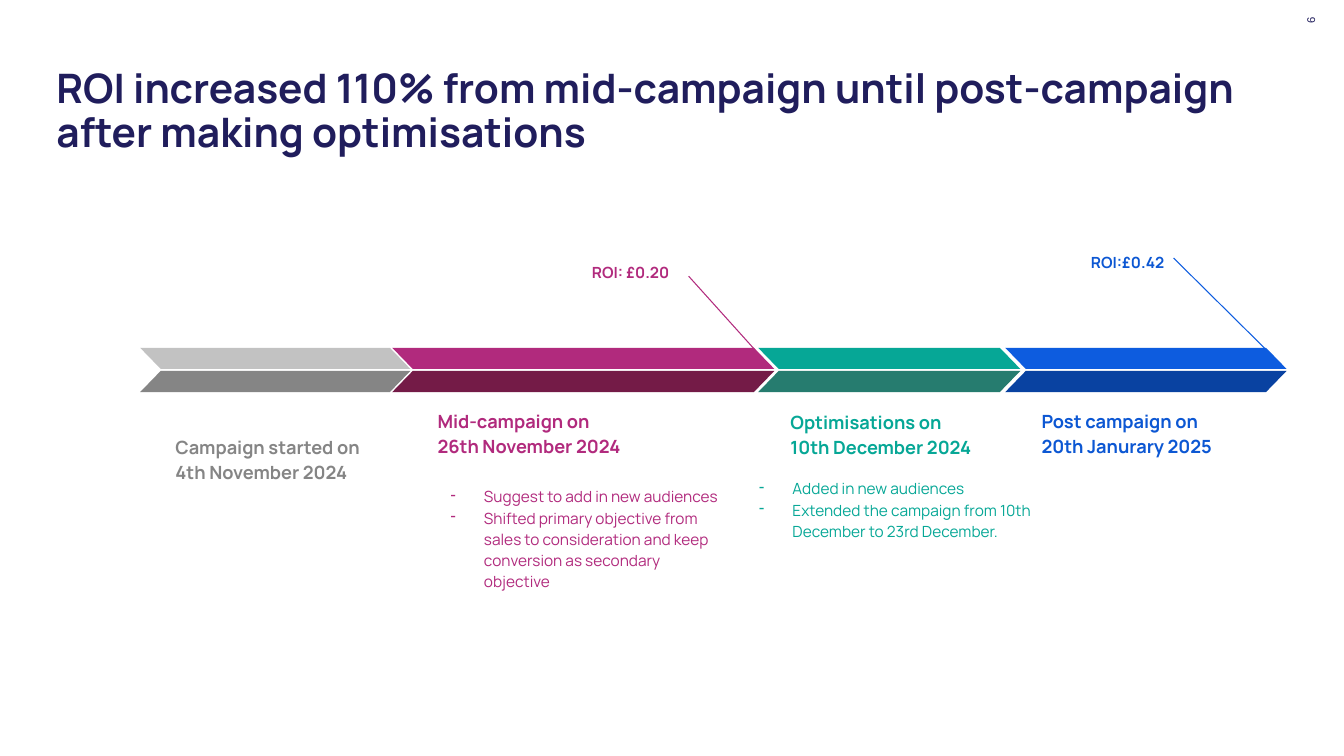
"""Build the campaign timeline slide with ROI callouts."""
from lxml.etree import SubElement
from pptx import Presentation
from pptx.dml.color import RGBColor
from pptx.enum.shapes import MSO_CONNECTOR, MSO_SHAPE
from pptx.enum.text import MSO_ANCHOR, PP_ALIGN
from pptx.oxml.ns import qn
from pptx.util import Inches, Pt


def color(code):
    return RGBColor.from_string(code)


def write(box, lines, size, hue, bold=True, align=PP_ALIGN.LEFT, anchor=MSO_ANCHOR.TOP,
          inset=0.13, space=1.15, after=0, bullet=False, font="Manrope"):
    shape = slide.shapes.add_textbox(*[Inches(n) for n in box])
    frame = shape.text_frame
    frame.word_wrap = True
    frame.vertical_anchor = anchor
    frame.margin_left = frame.margin_right = Inches(inset)
    frame.margin_top = frame.margin_bottom = Inches(inset)
    for i, line in enumerate(lines):
        para = frame.paragraphs[0] if i == 0 else frame.add_paragraph()
        if bullet:
            props = para._p.get_or_add_pPr()
            props.set("marL", str(Inches(0.5)))
            props.set("indent", str(Inches(-0.33)))
            tint = SubElement(props, qn("a:buClr"))
            SubElement(tint, qn("a:srgbClr")).set("val", hue)
            SubElement(props, qn("a:buChar")).set("char", "-")
        para.alignment = align
        para.line_spacing = space
        para.space_after = Pt(after)
        run = para.add_run()
        run.text = line
        run.font.name = font
        run.font.size = Pt(size)
        run.font.bold = bold
        run.font.color.rgb = color(hue)
    return shape


deck = Presentation()
deck.slide_width = Inches(13.33)
deck.slide_height = Inches(7.5)
slide = deck.slides.add_slide(deck.slide_layouts[6])

NAVY, GREY, PINK, TEAL, BLUE = "201D5C", "858585", "B12A7D", "06A796", "0C57D3"

number = write((12.75, 0.36, 0.5, 0.13), ["6"], 8, NAVY, bold=False, align=PP_ALIGN.RIGHT,
               anchor=MSO_ANCHOR.MIDDLE, inset=0, space=1.0, font="Arial")
number.rotation = 270
write((0.56, 0.68, 11.76, 0.88),
      ["ROI increased 110% from mid-campaign until post-campaign after making optimisations"],
      29, NAVY, inset=0, space=0.9)

arrows = [
    (1.39, 2.68, "C2C2C2", GREY),
    (3.89, 3.79, PINK, "741B47"),
    (7.52, 2.6, TEAL, "267C6F"),
    (9.97, 2.79, "0D5CDF", "0942A1"),
]
for left, width, light, dark in arrows:
    for top, fill in ((3.45, light), (3.68, dark)):
        half = slide.shapes.add_shape(MSO_SHAPE.PARALLELOGRAM, Inches(left), Inches(top),
                                      Inches(width), Inches(0.21))
        half.adjustments[0] = 0.97
        half.shadow.inherit = False
        half.fill.solid()
        half.fill.fore_color.rgb = color(fill)
        half.line.fill.background()
        if fill == light:
            half.element.spPr.get_or_add_xfrm().set("flipH", "1")

stages = [
    (1.61, 4.27, 2.19, GREY, ["Campaign started on 4th November 2024"]),
    (4.21, 4.02, 3.11, PINK, ["Mid-campaign on", "26th November 2024"]),
    (7.71, 4.03, 2.14, TEAL, ["Optimisations on 10th December 2024"]),
    (10.2, 4.02, 2.29, BLUE, ["Post campaign on", "20th Janurary 2025"]),
]
for left, top, width, hue, lines in stages:
    write((left, top, width, 0.65), lines, 13, hue, anchor=MSO_ANCHOR.BOTTOM)

notes = [
    (4.17, 4.68, PINK, ["Suggest to add in new audiences",
                        "Shifted primary objective from sales to consideration "
                        "and keep conversion as secondary objective"]),
    (7.23, 4.6, TEAL, ["Added in new audiences",
                       "Extended the campaign from 10th December to 23rd December."]),
]
for left, top, hue, lines in notes:
    write((left, top, 3.19, 1.08), lines, 11, hue, bold=False, bullet=True)

calls = [
    ((5.48, 2.48, 1.29, 0.35), "ROI: £0.20", PINK, (6.83, 2.74, 7.64, 3.44), PINK),
    ((10.52, 2.38, 1.19, 0.35), "ROI:£0.42 ", BLUE, (11.64, 2.56, 12.73, 3.64), "0D5CDF"),
]
calls[0] = calls[0][:3] + ((6.83, 2.74, 7.64, 3.64),) + calls[0][4:]
for box, label, hue, ends, stroke in calls:
    write(box, [label], 11, hue, align=PP_ALIGN.RIGHT, after=21)
    lead = slide.shapes.add_connector(MSO_CONNECTOR.STRAIGHT, *[Inches(n) for n in ends])
    lead.line.color.rgb = color(stroke)
    lead.line.width = Pt(0.75)
    SubElement(lead.element.spPr, qn("a:effectLst"))

deck.save("out.pptx")
